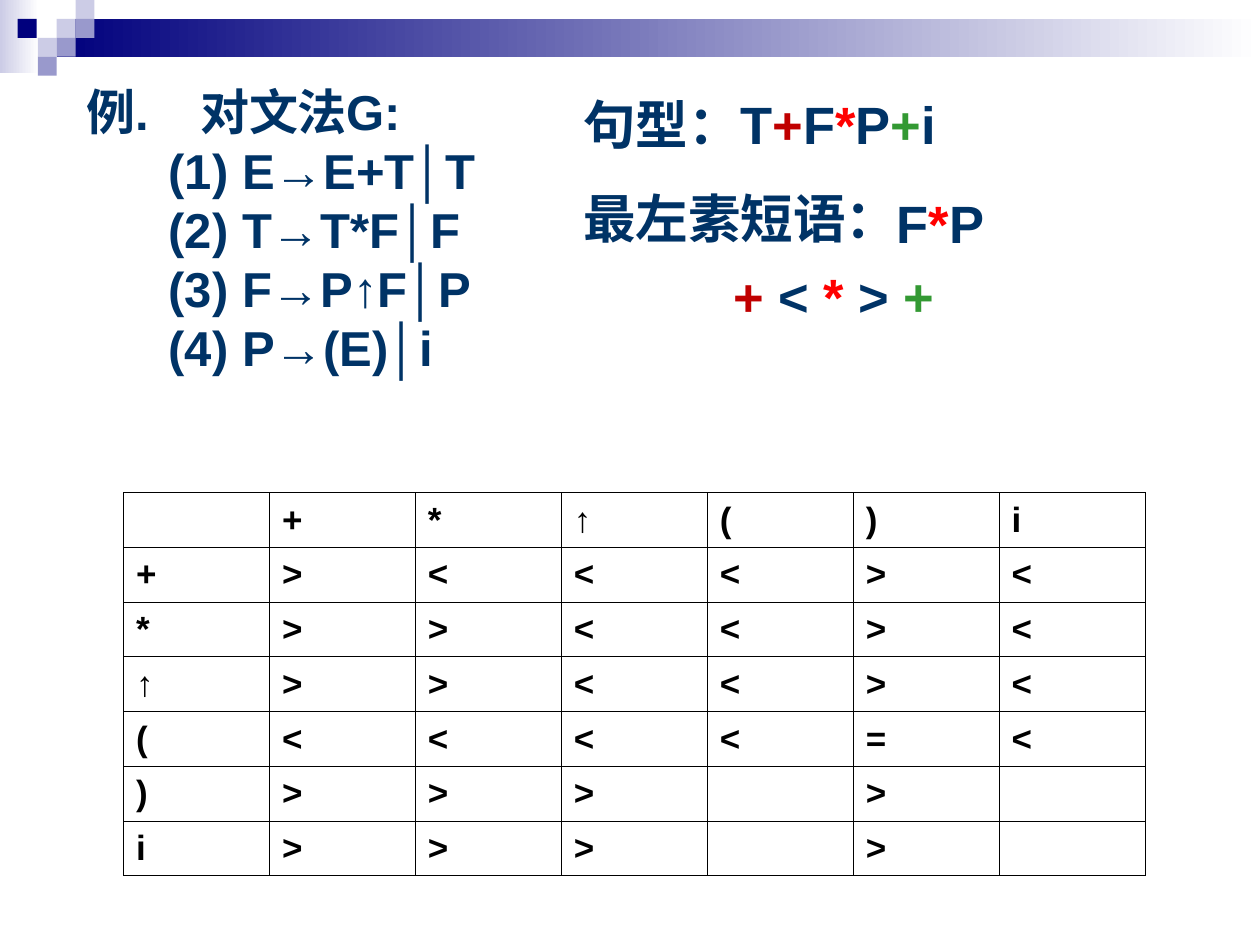
"""Build a slide on operator precedence for a small expression grammar."""
from lxml.etree import SubElement
from pptx import Presentation
from pptx.dml.color import RGBColor
from pptx.enum.shapes import MSO_SHAPE
from pptx.enum.text import MSO_ANCHOR
from pptx.oxml import parse_xml
from pptx.oxml.ns import nsdecls, qn
from pptx.util import Inches, Pt

NAVY = RGBColor(0x00, 0x00, 0x7D)
PALE = RGBColor(0xCC, 0xCC, 0xE6)
LILAC = RGBColor(0x99, 0x99, 0xCC)
WHITE = RGBColor(0xFF, 0xFF, 0xFF)
BLACK = RGBColor(0x00, 0x00, 0x00)
BLUE = RGBColor(0x00, 0x33, 0x66)
DARK = RGBColor(0xC0, 0x00, 0x00)
RED = RGBColor(0xFF, 0x00, 0x00)
GREEN = RGBColor(0x33, 0x99, 0x33)

deck = Presentation()
deck.slide_width, deck.slide_height = Inches(10), Inches(7.5)
slide = deck.slides.add_slide(deck.slide_layouts[6])
shapes = slide.shapes


def add_rect(left, top, width, height, color, fade=False):
    rect = shapes.add_shape(MSO_SHAPE.RECTANGLE, Inches(left), Inches(top),
                            Inches(width), Inches(height))
    rect.shadow.inherit = False
    rect.line.fill.background()
    if fade:
        rect.fill.gradient()
        rect.fill.gradient_angle = 0
        for stop, shade in zip(rect.fill.gradient_stops, (color, WHITE)):
            stop.color.rgb = shade
    else:
        rect.fill.solid()
        rect.fill.fore_color.rgb = color


def set_font(para, size, color=None):
    para.font.name = "Arial"
    para.font.size = Pt(size)
    para.font.bold = True
    if color is not None:
        para.font.color.rgb = color


add_rect(0, 0, 0.31, 0.58, PALE, fade=True)
add_rect(0.45, 0.15, 9.55, 0.3, NAVY, fade=True)
for left, top, color in [(0.45, 0.15, PALE), (0.6, 0, PALE),
                         (0.6, 0.15, LILAC), (0.3, 0.3, PALE),
                         (0.14, 0.15, NAVY), (0.45, 0.3, LILAC),
                         (0.3, 0.45, LILAC)]:
    add_rect(left, top, 0.15, 0.15, color)

phrase = [("F", BLUE), ("*", RED), ("P", BLUE)]
form = [("句型：T", BLUE), ("+", DARK), *phrase, ("+", GREEN), ("i", BLUE)]
order = [("+ ", DARK), ("< ", BLUE), ("* ", RED), ("> ", BLUE), ("+", GREEN)]
for left, top, width, height, inset, parts in [
        (4.53, 0.68, 4.92, 0.67, 0.05, form),
        (4.53, 0.91, 2.75, 2.75, 0.57, [("最左素短语：", BLUE)]),
        (7.02, 1.47, 0.95, 0.6, 0.05, phrase),
        (5.72, 2.05, 1.85, 0.6, 0.05, order)]:
    frame = shapes.add_textbox(Inches(left), Inches(top), Inches(width),
                               Inches(height)).text_frame
    frame.word_wrap = True
    frame.margin_top = Inches(inset)
    para = frame.paragraphs[0]
    set_font(para, 30)
    for text, color in parts:
        run = para.add_run()
        run.text = text
        run.font.color.rgb = color

frame = shapes.add_textbox(Inches(0.59), Inches(0.6), Inches(5.75),
                           Inches(2.44)).text_frame
frame.word_wrap = True
title = frame.paragraphs[0]
title.text = "例.\t对文法G:"
tabs = SubElement(title._p.get_or_add_pPr(), qn("a:tabLst"))
SubElement(tabs, qn("a:tab"), pos=str(Inches(0.9)), algn="l")
set_font(title, 28, BLUE)
for rule in ["(1) E→E+T│T", "(2) T→T*F│F", "(3) F→P↑F│P", "(4) P→(E)│i"]:
    para = frame.add_paragraph()
    para.text = rule
    para._p.get_or_add_pPr().set("marL", str(Inches(0.65)))
    set_font(para, 28, BLUE)

signs = "+*↑()i"
marks = ["><<<><", ">><<><", ">><<><", "<<<<=<", ">>> > ", ">>> > "]
grid = [" " + signs] + [sign + row for sign, row in zip(signs, marks)]
count = len(grid)
table = shapes.add_table(count, count, Inches(0.98), Inches(3.91),
                         Inches(8.11), Inches(3.04)).table
table.first_row = table.horz_banding = False
for row, line in zip(table.rows, grid):
    for cell, sign in zip(row.cells, line):
        props = cell._tc.get_or_add_tcPr()
        for side in "LRTB":
            props.append(parse_xml(
                f'<a:ln{side} {nsdecls("a")} w="{Pt(0.45)}"><a:solidFill>'
                f'<a:srgbClr val="{BLACK}"/></a:solidFill></a:ln{side}>'))
        cell.fill.background()
        cell.vertical_anchor = MSO_ANCHOR.MIDDLE
        cell.text = sign.strip()
        set_font(cell.text_frame.paragraphs[0], 20, BLACK)

deck.save("out.pptx")
